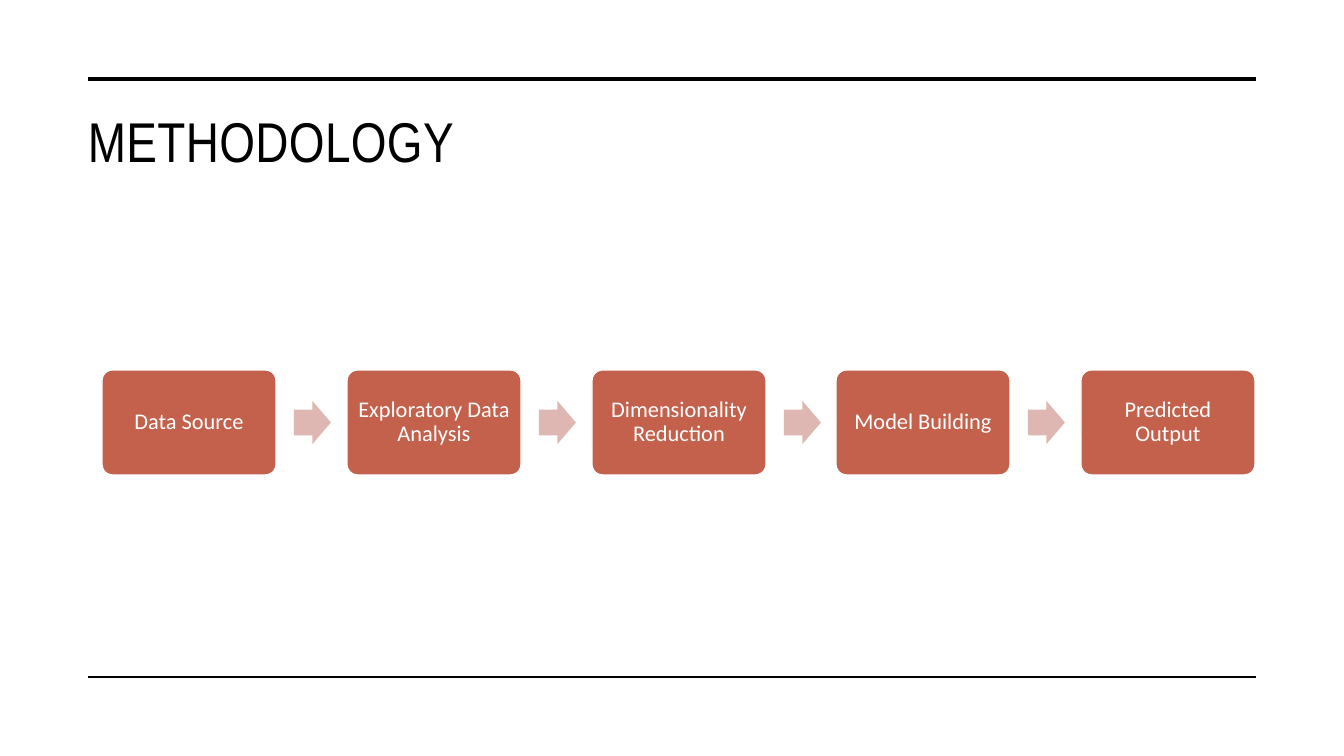
from dataclasses import dataclass

from pptx import Presentation
from pptx.dml.color import RGBColor
from pptx.enum.shapes import MSO_CONNECTOR, MSO_SHAPE
from pptx.enum.text import MSO_ANCHOR, PP_ALIGN
from pptx.oxml.ns import qn
from pptx.util import Emu, Pt
from lxml.etree import SubElement

EMU_PER_PX = 914400 / 100.8


@dataclass(frozen=True)
class Theme:
    ink: str = "000000"
    paper: str = "FFFFFF"
    step: str = "C3614D"
    arrow: str = "DEB7B2"
    title_font: str = "Arial Narrow"
    body_font: str = "Calibri"
    title_size: int = 40
    step_size: int = 16


def px(length):
    return Emu(round(length * EMU_PER_PX))


def write_text(frame, text, *, font, size, color, align=PP_ALIGN.LEFT,
               anchor=MSO_ANCHOR.TOP, inset=None, line_spacing=None, tracking=None):
    frame.word_wrap = True
    frame.vertical_anchor = anchor
    if inset is not None:
        frame.margin_left = frame.margin_right = px(inset)
        frame.margin_top = frame.margin_bottom = px(inset)
    paragraph = frame.paragraphs[0]
    paragraph.alignment = align
    if line_spacing:
        paragraph.line_spacing = line_spacing
    run = paragraph.add_run()
    run.text = text
    run.font.name = font
    run.font.size = Pt(size)
    run.font.color.rgb = RGBColor.from_string(color)
    if tracking:
        run.font._element.set("spc", str(tracking))


class SlideBuilder:
    def __init__(self, slide, theme):
        self.slide = slide
        self.theme = theme

    def rule(self, left, right, y, weight):
        line = self.slide.shapes.add_connector(
            MSO_CONNECTOR.STRAIGHT, px(left), px(y), px(right), px(y))
        line.line.color.rgb = RGBColor.from_string(self.theme.ink)
        line.line.width = Pt(weight)
        SubElement(line._element.spPr, qn("a:effectLst"))

    def title(self, text, left, top, width, height):
        box = self.slide.shapes.add_textbox(px(left), px(top), px(width), px(height))
        write_text(box.text_frame, text, font=self.theme.title_font,
                   size=self.theme.title_size, color=self.theme.ink, tracking=30)

    def block(self, kind, left, top, width, height, fill, adjustments):
        shape = self.slide.shapes.add_shape(kind, px(left), px(top), px(width), px(height))
        shape.shadow.inherit = False
        for index, value in enumerate(adjustments):
            shape.adjustments[index] = value
        shape.fill.solid()
        shape.fill.fore_color.rgb = RGBColor.from_string(fill)
        shape.line.fill.background()
        return shape

    def step(self, text, left, top, width, height):
        shape = self.block(MSO_SHAPE.ROUNDED_RECTANGLE, left, top, width, height,
                           self.theme.step, [0.1])
        shape.line.color.rgb = RGBColor.from_string(self.theme.paper)
        shape.line.width = Pt(1)
        write_text(shape.text_frame, text, font=self.theme.body_font,
                   size=self.theme.step_size, color=self.theme.paper,
                   align=PP_ALIGN.CENTER, anchor=MSO_ANCHOR.MIDDLE,
                   inset=7, line_spacing=0.9)

    def arrow(self, left, top, width, height):
        self.block(MSO_SHAPE.RIGHT_ARROW, left, top, width, height,
                   self.theme.arrow, [0.6, 0.5])


def main():
    presentation = Presentation()
    presentation.slide_width = px(1344)
    presentation.slide_height = px(756)
    slide = presentation.slides.add_slide(presentation.slide_layouts[6])
    builder = SlideBuilder(slide, Theme())

    # Frame rules and title
    builder.rule(88, 1256, 79, 3.5)
    builder.rule(88, 1256, 677, 1)
    builder.title("METHODOLOGY", 78, 102, 1178, 151)

    # Process steps, spread evenly and joined by arrows
    steps = ["Data Source", "Exploratory Data Analysis", "Dimensionality Reduction",
             "Model Building", "Predicted Output"]
    first_left, last_left = 102, 1081
    last = len(steps) - 1
    for index, text in enumerate(steps):
        left = first_left + round((last_left - first_left) * index / last)
        builder.step(text, left, 370, 174, 105)
        if index < last:
            builder.arrow(left + 192, 401, 37, 43)

    presentation.save("out.pptx")


if __name__ == "__main__":
    main()
